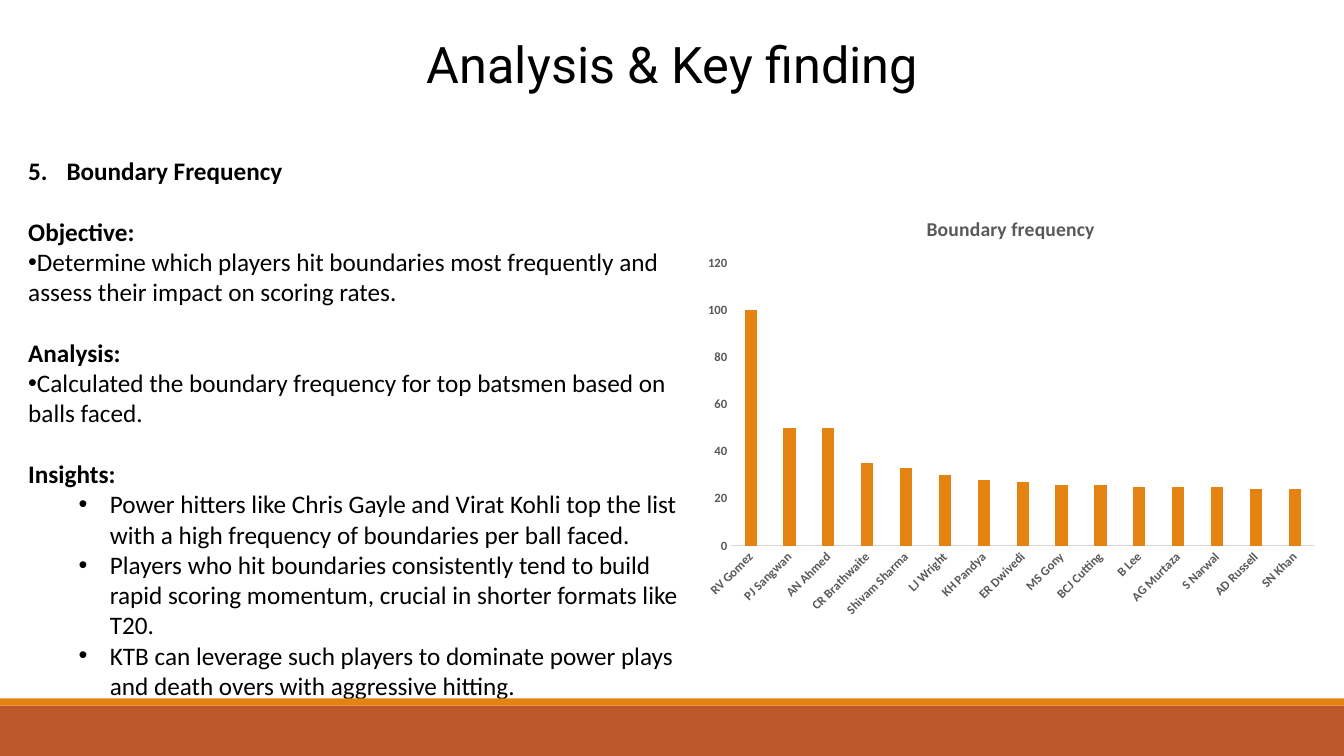
from lxml import etree
from pptx import Presentation
from pptx.chart.data import CategoryChartData
from pptx.dml.color import RGBColor
from pptx.enum.chart import XL_CHART_TYPE as ChartType, XL_TICK_MARK as Tick
from pptx.enum.shapes import MSO_SHAPE as Shape
from pptx.enum.text import MSO_ANCHOR as Anchor, MSO_AUTO_SIZE as AutoSize, PP_ALIGN as Align
from pptx.oxml.ns import qn
from pptx.util import Inches, Pt

ORANGE, RUST, BLACK, GREY, PALE = "E48312", "BD582C", "000000", "595959", "D9D9D9"


def style(font, size, color, bold=False, name="Calibri"):
    font.size, font.bold, font.name = Pt(size), bold, name
    font.color.rgb = RGBColor.from_string(color)


def set_bullet(paragraph, tag, margin=0, indent=0, **attributes):
    """Give the paragraph a bullet element (buNone, buChar or buAutoNum)."""
    properties = paragraph._p.get_or_add_pPr()
    properties.set("marL", str(Inches(margin)))
    properties.set("indent", str(Inches(indent)))
    if tag == "buChar":
        etree.SubElement(properties, qn("a:buFont"), typeface="Arial")
    etree.SubElement(properties, qn("a:" + tag), **attributes)


prs = Presentation()
prs.slide_width, prs.slide_height = Inches(13.33), Inches(7.5)
slide = prs.slides.add_slide(prs.slide_layouts[1])

# Footer bands
for top, height, color in [(7, 0.5, RUST), (6.93, 0.07, ORANGE)]:
    band = slide.shapes.add_shape(Shape.RECTANGLE, 0, Inches(top), prs.slide_width, Inches(height))
    band.shadow.inherit = False
    band.fill.solid()
    band.fill.fore_color.rgb = RGBColor.from_string(color)
    band.line.fill.background()

# Title
title = slide.shapes.title
title.left, title.top, title.width, title.height = map(Inches, (3.38, 0.2, 6.58, 0.85))
title.text_frame.text = "Analysis & Key finding"
title.text_frame.vertical_anchor = Anchor.MIDDLE
title.text_frame.paragraphs[0].alignment = Align.CENTER
style(title.text_frame.paragraphs[0].runs[0].font, 36, BLACK, name="Roboto")

# Findings
findings = [
    ("number", "Boundary Frequency"),
    ("heading", "Objective:"),
    ("point", "Determine which players hit boundaries most frequently and assess their impact on scoring rates."),
    ("heading", "Analysis:"),
    ("point", "Calculated the boundary frequency for top batsmen based on balls faced."),
    ("heading", "Insights:"),
    ("insight", "Power hitters like Chris Gayle and Virat Kohli top the list with a high frequency of "
                "boundaries per ball faced."),
    ("insight", "Players who hit boundaries consistently tend to build rapid scoring momentum, crucial in "
                "shorter formats like T20."),
    ("insight", "KTB can leverage such players to dominate power plays and death overs with aggressive hitting."),
]
body = slide.placeholders[1]
body.left, body.top, body.width, body.height = map(Inches, (0.18, 1.49, 6.94, 5.5))
frame = body.text_frame
frame.word_wrap, frame.auto_size, frame.vertical_anchor = True, AutoSize.NONE, Anchor.TOP
frame.text = "\n".join(text for _, text in findings)
for paragraph, (role, _) in zip(frame.paragraphs, findings):
    paragraph.line_spacing = 1.0
    paragraph.space_before = Pt(21.8 if role == "heading" else 0)
    paragraph.space_after = Pt(0)
    if role == "number":
        set_bullet(paragraph, "buAutoNum", 0.38, -0.38, type="arabicPeriod", startAt="5")
    elif role == "heading":
        set_bullet(paragraph, "buNone")
    elif role == "point":
        set_bullet(paragraph, "buChar", char="•")
    else:
        paragraph.level = 1
        set_bullet(paragraph, "buChar", 0.81, -0.31, char="•")
    style(paragraph.runs[0].font, 18, BLACK, bold=role in ("number", "heading"))

# Boundary frequency by player
frequencies = {
    "RV Gomez": 100, "PJ Sangwan": 50, "AN Ahmed": 50, "CR Brathwaite": 35, "Shivam Sharma": 33,
    "LJ Wright": 30, "KH Pandya": 28, "ER Dwivedi": 27, "MS Gony": 26, "BCJ Cutting": 26,
    "B Lee": 25, "AG Murtaza": 25, "S Narwal": 25, "AD Russell": 24, "SN Khan": 24,
}
data = CategoryChartData()
data.categories = list(frequencies)
data.add_series("Boundary frequency", list(frequencies.values()))
chart = slide.shapes.add_chart(
    ChartType.COLUMN_CLUSTERED, *map(Inches, (6.89, 1.96, 6.27, 4.25)), data).chart
style(chart.font, 10, BLACK)
chart.has_legend = False
chart.has_title = True
chart.chart_title.include_in_layout = False
chart.chart_title.text_frame.text = "Boundary frequency"
style(chart.chart_title.text_frame.paragraphs[0].runs[0].font, 14, GREY, bold=True)

plot = chart.plots[0]
plot.gap_width, plot.overlap, plot.vary_by_categories = 219, -27, False
columns = plot.series[0].format.fill
columns.solid()
columns.fore_color.rgb = RGBColor.from_string(ORANGE)

players, scale = chart.category_axis, chart.value_axis
for axis in (players, scale):
    axis.major_tick_mark = axis.minor_tick_mark = Tick.NONE
    axis.has_major_gridlines = False
    style(axis.tick_labels.font, 9, GREY, bold=True)
players.format.line.color.rgb = RGBColor.from_string(PALE)
players.format.line.width = Pt(0.75)
players._element.find(qn("c:txPr")).find(qn("a:bodyPr")).set("rot", str(-45 * 60000))
scale.format.line.fill.background()
scale.minimum_scale, scale.maximum_scale, scale.major_unit = 0, 120, 20

prs.save("out.pptx")
